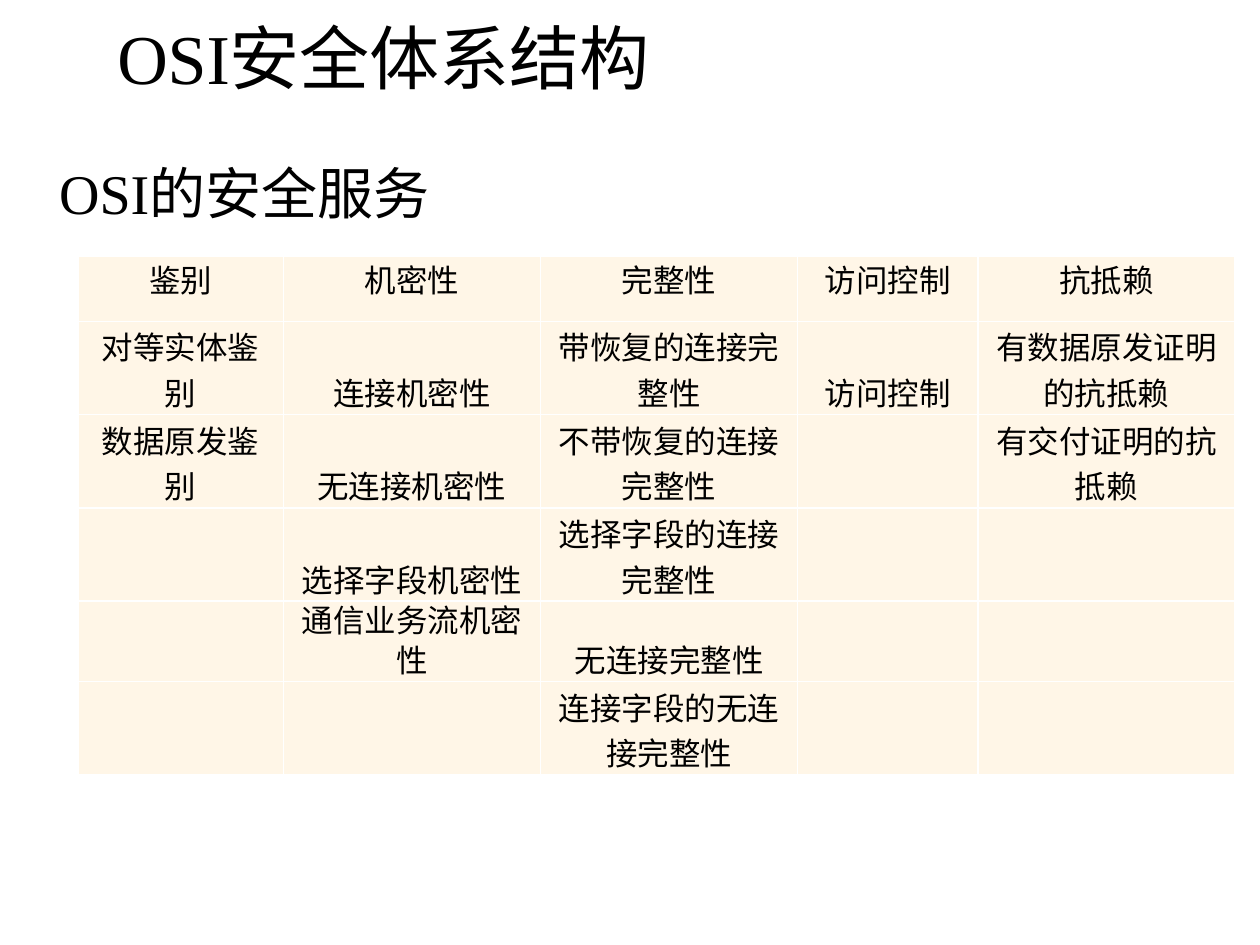
import pptx
import pptx.dml.color
import pptx.enum.text
import pptx.oxml.ns
import pptx.util
from lxml import etree

Pt = pptx.util.Pt
RGBColor = pptx.dml.color.RGBColor
Align = pptx.enum.text.PP_ALIGN
Anchor = pptx.enum.text.MSO_ANCHOR
AutoSize = pptx.enum.text.MSO_AUTO_SIZE
qn = pptx.oxml.ns.qn

BLACK = RGBColor(0x00, 0x00, 0x00)
WHITE = RGBColor(0xFF, 0xFF, 0xFF)
CREAM = RGBColor(0xFF, 0xF6, 0xE7)

SERIF = "Times New Roman"
SANS = "Noto Sans CJK SC"
TITLE_FONT = "Lato"

COLUMN_WIDTHS = [117.4, 146.9, 146.9, 103, 146.9]
ROW_HEIGHTS = [37.4, 53.3, 53.3, 53.3, 46.1, 53.3]
SERVICES = [
    ["鉴别", "机密性", "完整性", "访问控制", "抗抵赖"],
    ["对等实体鉴别", "连接机密性", "带恢复的连接完整性", "访问控制", "有数据原发证明的抗抵赖"],
    ["数据原发鉴别", "无连接机密性", "不带恢复的连接完整性", "", "有交付证明的抗抵赖"],
    ["", "选择字段机密性", "选择字段的连接完整性", "", ""],
    ["", "通信业务流机密性", "无连接完整性", "", ""],
    ["", "", "连接字段的无连接完整性", "", ""],
]
TIGHT_ROW = 4


def write_text(paragraph, runs, size, align=Align.LEFT, line=None, after=0):
    paragraph.alignment = align
    paragraph.space_before = Pt(0)
    paragraph.space_after = Pt(after)
    if line:
        paragraph.line_spacing = Pt(line)
    for text, font_name in runs:
        run = paragraph.add_run()
        run.text = text
        run.font.size = Pt(size)
        run.font.name = font_name
        run.font.color.rgb = BLACK
        east_asian = etree.SubElement(run.font._element, qn("a:ea"))
        east_asian.set("typeface", font_name)


def place(shape, left, top, width, height):
    shape.left, shape.top = Pt(left), Pt(top)
    shape.width, shape.height = Pt(width), Pt(height)


def set_margins(frame, horizontal, vertical):
    frame.margin_left = frame.margin_right = Pt(horizontal)
    frame.margin_top = frame.margin_bottom = Pt(vertical)


def add_title(slide):
    title = slide.shapes.title
    place(title, 59.8, 16.6, 568, 43.2)
    frame = title.text_frame
    set_margins(frame, 7.2, 3.6)
    frame.word_wrap = True
    frame.vertical_anchor = Anchor.TOP
    frame.auto_size = AutoSize.SHAPE_TO_FIT_TEXT
    write_text(frame.paragraphs[0], [("OSI", SERIF), ("安全体系结构", TITLE_FONT)],
               size=40, line=36, after=12)


def add_subtitle(slide):
    box = slide.shapes.add_textbox(Pt(33.8), Pt(84.2), Pt(653), Pt(48.2))
    frame = box.text_frame
    set_margins(frame, 0, 0)
    frame.word_wrap = True
    frame.vertical_anchor = Anchor.MIDDLE
    paragraph = frame.paragraphs[0]
    write_text(paragraph, [("OSI", SERIF), ("的安全服务", SANS)],
               size=32, line=42, after=12)
    properties = paragraph._p.get_or_add_pPr()
    properties.set("marL", str(Pt(27)))
    properties.set("indent", str(-Pt(27)))


def add_borders(cell):
    properties = cell._tc.get_or_add_tcPr()
    for side in ("a:lnL", "a:lnR", "a:lnT", "a:lnB"):
        line = etree.SubElement(properties, qn(side), w=str(Pt(1)))
        fill = etree.SubElement(line, qn("a:solidFill"))
        etree.SubElement(fill, qn("a:srgbClr"), val=str(WHITE))


def format_cell(cell, text, row_index):
    add_borders(cell)
    cell.fill.solid()
    cell.fill.fore_color.rgb = CREAM
    if text:
        set_margins(cell, 5, 0)
        cell.vertical_anchor = Anchor.BOTTOM if row_index else Anchor.TOP
        write_text(cell.text_frame.paragraphs[0], [(text, SANS)], size=18,
                   align=Align.CENTER, line=23 if row_index == TIGHT_ROW else None)


def add_services_table(slide):
    frame = slide.shapes.add_table(
        len(ROW_HEIGHTS), len(COLUMN_WIDTHS), Pt(44.6), Pt(146.2),
        Pt(sum(COLUMN_WIDTHS)), Pt(sum(ROW_HEIGHTS)))
    table = frame.table
    table.first_row = False
    table.horz_banding = False
    for column, width in zip(table.columns, COLUMN_WIDTHS):
        column.width = Pt(width)
    for row_index, (row, height) in enumerate(zip(table.rows, ROW_HEIGHTS)):
        row.height = Pt(height)
        for cell, text in zip(row.cells, SERVICES[row_index]):
            format_cell(cell, text, row_index)


def main():
    presentation = pptx.Presentation()
    presentation.slide_width = Pt(720)
    presentation.slide_height = Pt(540)
    slide = presentation.slides.add_slide(presentation.slide_layouts[5])
    add_title(slide)
    add_subtitle(slide)
    add_services_table(slide)
    presentation.save("out.pptx")


if __name__ == "__main__":
    main()
